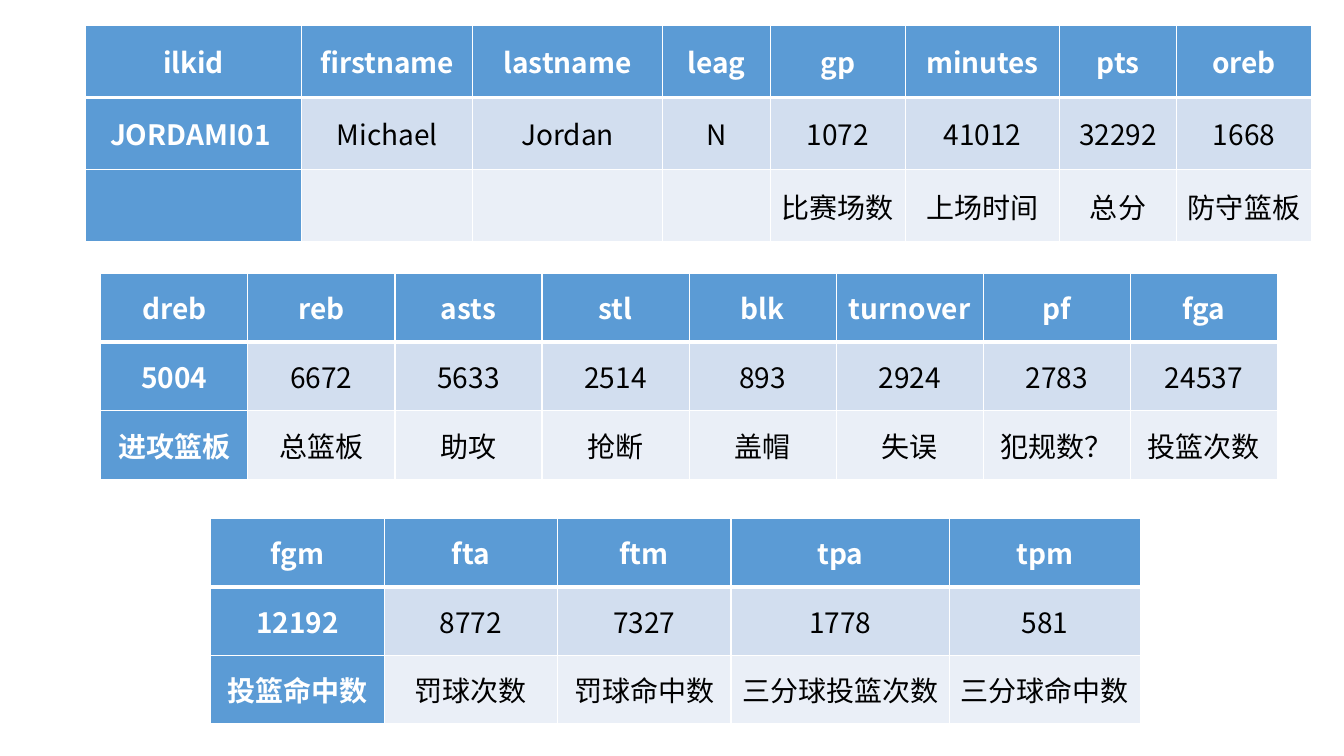
from lxml import etree
from pptx import Presentation
from pptx import util as u
from pptx.dml.color import RGBColor
from pptx.enum import text
from pptx.oxml.ns import qn

COLORS = {"header": "5B9BD5", "values": "D2DEEF", "meanings": "EAEFF7",
          "light": "FFFFFF", "dark": "000000"}
FONT = "Noto Sans CJK SC"

CAREER = [
    ["ilkid", "firstname", "lastname", "leag", "gp", "minutes", "pts", "oreb"],
    ["JORDAMI01 ", "Michael", "Jordan", "N", "1072", "41012", "32292", "1668"],
    ["", "", "", "", "比赛场数", "上场时间", "总分", "防守篮板"],
]
PLAY = [
    ["dreb", "reb", "asts", "stl", "blk", "turnover", "pf", "fga"],
    ["5004", "6672", "5633", "2514", "893", "2924", "2783", "24537"],
    ["进攻篮板", "总篮板", "助攻", "抢断", "盖帽", "失误", "犯规数？", "投篮次数"],
]
SHOOTING = [
    ["fgm", "fta", "ftm", "tpa", "tpm"],
    ["12192", "8772", "7327", "1778", "581"],
    ["投篮命中数", "罚球次数", "罚球命中数", "三分球投篮次数", "三分球命中数"],
]


def rgb(key):
    """Return the named colour."""
    return RGBColor.from_string(COLORS[key])


def add_borders(cell, row):
    """Draw white cell borders, with a heavy rule under the header row."""
    widths = {"L": 1, "R": 1, "T": 3 if row == 1 else 1, "B": 3 if row == 0 else 1}
    properties = cell._tc.get_or_add_tcPr()
    for side, width in widths.items():
        border = etree.SubElement(properties, qn(f"a:ln{side}"), w=str(u.Pt(width)))
        fill = etree.SubElement(border, qn("a:solidFill"))
        etree.SubElement(fill, qn("a:srgbClr"), val=COLORS["light"])


def write_cell(cell, words, row, column):
    """Format one cell by its place in the table and write its words."""
    heading = row == 0 or column == 0
    add_borders(cell, row)
    cell.fill.solid()
    cell.fill.fore_color.rgb = rgb("header" if heading else ("values", "meanings")[row - 1])
    cell.vertical_anchor = text.MSO_ANCHOR.MIDDLE
    cell.margin_left = cell.margin_right = u.Inches(0.07)
    cell.margin_top = cell.margin_bottom = 0
    if not words:
        return
    paragraph = cell.text_frame.paragraphs[0]
    paragraph.alignment = text.PP_ALIGN.CENTER
    run = paragraph.add_run()
    run.text = words
    run.font.size = u.Pt(20)
    run.font.bold = heading
    run.font.color.rgb = rgb("light" if heading else "dark")
    run.font.name = FONT
    etree.SubElement(run._r.get_or_add_rPr(), qn("a:ea"), typeface=FONT)


def add_stats(slide, left, top, height, widths, rows):
    """Add one statistics table with equal rows and the given column widths."""
    stats = slide.shapes.add_table(
        len(rows), len(widths), u.Inches(left), u.Inches(top),
        u.Inches(sum(widths)), u.Inches(height)).table
    for column, width in zip(stats.columns, widths):
        column.width = u.Inches(width)
    for r, record in enumerate(rows):
        for c, words in enumerate(record):
            write_cell(stats.cell(r, c), words, r, c)


def build_player_slide(deck):
    """Build the slide with the three tables of one player's statistics."""
    slide = deck.slides.add_slide(deck.slide_layouts[6])
    add_stats(slide, 0.85, 0.25, 2.15,
              [2.14, 1.7, 1.88, 1.07, 1.34, 1.53, 1.16, 1.34], CAREER)
    add_stats(slide, 1, 2.71, 2.05, [11.67 / 8] * 8, PLAY)
    add_stats(slide, 2.09, 5.14, 2.04, [1.72] * 3 + [2.17, 1.89], SHOOTING)


deck = Presentation()
deck.slide_width, deck.slide_height = u.Inches(13.33), u.Inches(7.5)
build_player_slide(deck)
deck.save("out.pptx")
